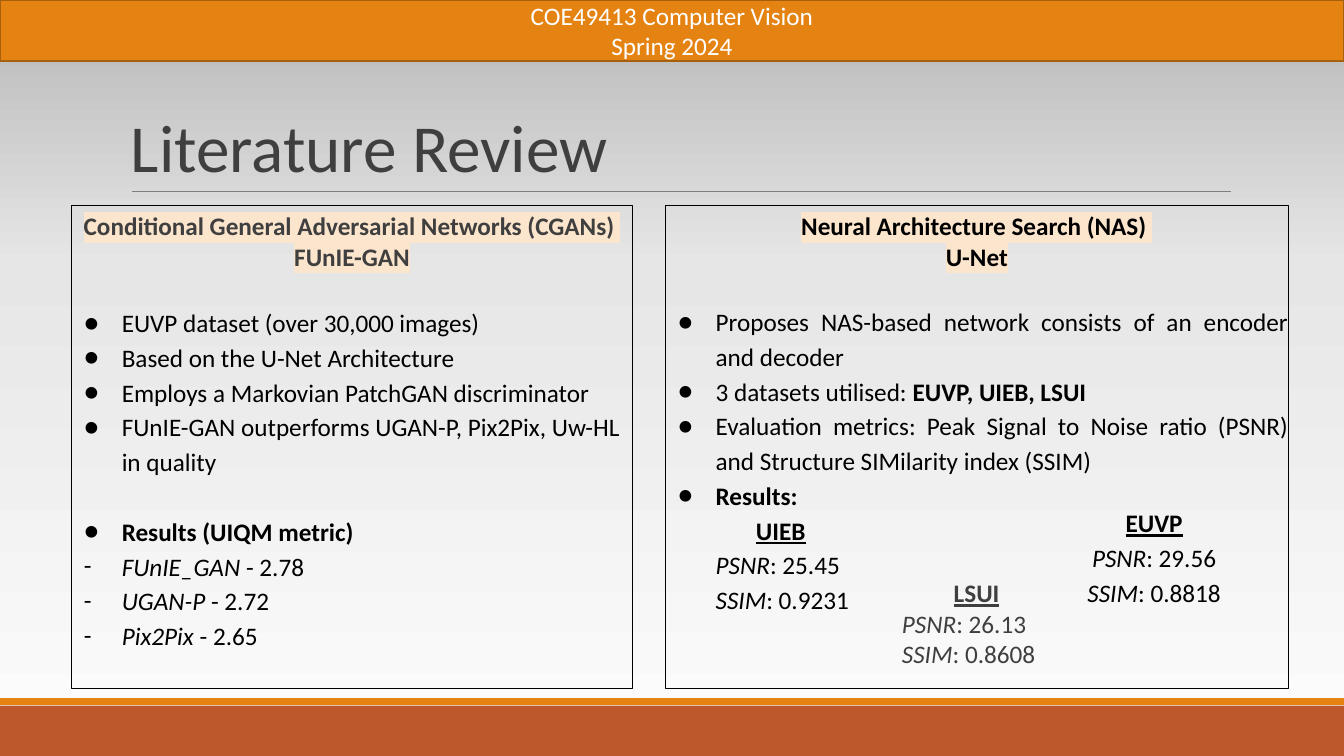
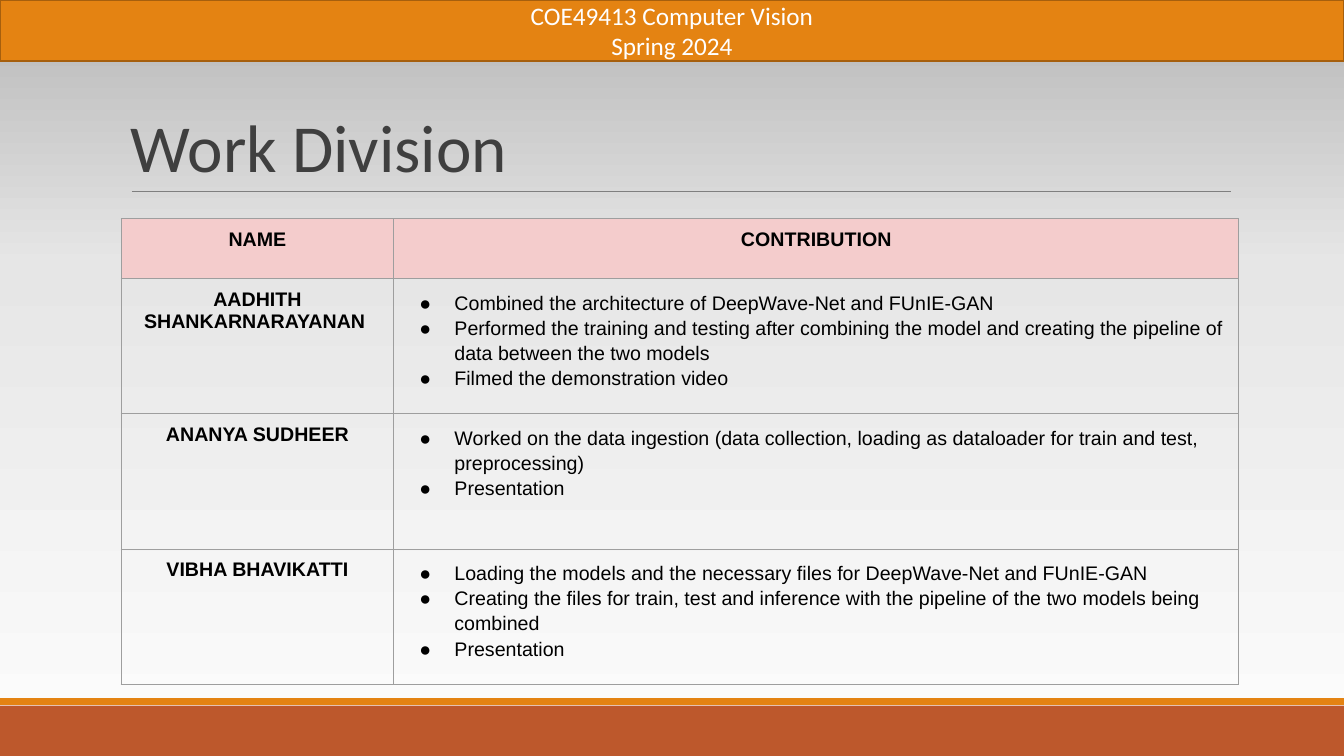
from lxml import etree
from copy import deepcopy
from pptx import Presentation
from pptx.dml.color import RGBColor
from pptx.enum.shapes import MSO_CONNECTOR, MSO_SHAPE
from pptx.enum.text import MSO_ANCHOR, PP_ALIGN
from pptx.oxml.ns import qn
from pptx.util import Pt

# Colours
BLACK = RGBColor(0x00, 0x00, 0x00)
WHITE = RGBColor(0xFF, 0xFF, 0xFF)
DARK_GRAY = RGBColor(0x3F, 0x3F, 0x3F)
RULE_GRAY = RGBColor(0x7F, 0x7F, 0x7F)
BORDER_GRAY = RGBColor(0x9E, 0x9E, 0x9E)
ORANGE = RGBColor(0xE4, 0x83, 0x12)
DARK_ORANGE = RGBColor(0xA6, 0x5F, 0x0D)
RUST = RGBColor(0xBD, 0x58, 0x2C)
PINK = RGBColor(0xF4, 0xCC, 0xCC)
CREAM = RGBColor(0xFC, 0xE5, 0xCD)
BACKGROUND_STOPS = [
    (0, RGBColor(0xFD, 0xFD, 0xFD)),
    (0.65, RGBColor(0xE6, 0xE6, 0xE6)),
    (1, RGBColor(0xB6, 0xB6, 0xB6)),
]

# Font formats
BODY = {"name": "Calibri", "size": Pt(18), "color": BLACK}
GRAY_BODY = {**BODY, "color": DARK_GRAY}
BAND = {**BODY, "color": WHITE}
TITLE = {**GRAY_BODY, "size": Pt(48)}
TABLE = {"name": "Arial", "size": Pt(14), "color": BLACK}
FLAGS = {"b": "bold", "i": "italic", "u": "underline"}

# Paragraph formats
PLAIN = {}
CENTER = {"alignment": PP_ALIGN.CENTER}
LOOSE_CENTER = {**CENTER, "line_spacing": 1.15}
TITLE_LINE = {"line_spacing": 0.85}
ITEM = {"line_spacing": 1.15, "margin": 36, "indent": -27, "bullet": "●"}
JUSTIFIED = {**ITEM, "alignment": PP_ALIGN.JUSTIFY}
DASH = {**ITEM, "bullet": "-"}
INDENTED = {"line_spacing": 1.15, "margin": 36}
TABLE_ITEM = {**ITEM, "indent": -25}
AFTER_HEADING = {"space_before": Pt(22)}
AFTER_LIST = {"space_before": Pt(25)}


def write_text(frame, font_format, lines, margins=(7.2, 7.2), anchor=MSO_ANCHOR.TOP):
    """Write lines of (paragraph format, (text, flags), ...); flags: b, i, u, h for highlight."""
    frame.word_wrap = True
    frame.vertical_anchor = anchor
    frame.margin_left = frame.margin_right = Pt(margins[0])
    frame.margin_top = frame.margin_bottom = Pt(margins[1])
    for number, (paragraph_format, *runs) in enumerate(lines):
        paragraph = frame.add_paragraph() if number else frame.paragraphs[0]
        properties = paragraph._p.get_or_add_pPr()
        for key, value in paragraph_format.items():
            if key == "bullet":
                color = etree.SubElement(properties, qn("a:buClr"))
                etree.SubElement(color, qn("a:srgbClr"), val=str(BLACK))
                etree.SubElement(properties, qn("a:buFont"), typeface=font_format["name"])
                etree.SubElement(properties, qn("a:buChar"), char=value)
            elif key in ("margin", "indent"):
                properties.set("marL" if key == "margin" else "indent", str(int(Pt(value))))
            else:
                setattr(paragraph, key, value)
        for text, flags in runs:
            run = paragraph.add_run()
            run.text = text
            for key, value in font_format.items():
                if key == "color":
                    run.font.color.rgb = value
                else:
                    setattr(run.font, key, value)
            for flag, attribute in FLAGS.items():
                setattr(run.font, attribute, flag in flags)
            if "h" in flags:
                highlight = etree.Element(qn("a:highlight"))
                etree.SubElement(highlight, qn("a:srgbClr"), val=str(CREAM))
                run._r.rPr.find(qn("a:solidFill")).addnext(highlight)


def add_box(slide, place, fill=None, line=None, width=0.75):
    shape = slide.shapes.add_shape(MSO_SHAPE.RECTANGLE, *map(Pt, place))
    shape.shadow.inherit = False
    for target, color in ((shape.fill, fill), (shape.line.fill, line)):
        if color is None:
            target.background()
        else:
            target.solid()
            target.fore_color.rgb = color
    if line is not None:
        shape.line.width = Pt(width)
    return shape


presentation = Presentation()
presentation.slide_width = Pt(960)
presentation.slide_height = Pt(540)

# Shared background, bands, rule and title
slides = []
for title in ("Literature Review", "Work Division"):
    slide = presentation.slides.add_slide(presentation.slide_layouts[6])
    slides.append(slide)

    fill = slide.background.fill
    fill.gradient()
    fill.gradient_angle = 90
    stop_list = slide.element.find(".//" + qn("a:gsLst"))
    stop_list.append(deepcopy(stop_list[-1]))
    for stop, (position, color) in zip(fill.gradient_stops, BACKGROUND_STOPS):
        stop.position = position
        stop.color.rgb = color

    add_box(slide, (0, 504, 960, 36), RUST)
    add_box(slide, (0, 498.7, 960, 4.8), ORANGE)
    rule = slide.shapes.add_connector(
        MSO_CONNECTOR.STRAIGHT, Pt(94.3), Pt(136.8), Pt(879.1), Pt(136.8))
    rule.line.color.rgb = RULE_GRAY
    rule.line.width = Pt(0.75)
    etree.SubElement(rule._element.spPr, qn("a:effectLst"))

    band = add_box(slide, (0, 0, 960, 43.4), ORANGE, DARK_ORANGE, 1.25)
    write_text(band.text_frame, BAND, [
        (CENTER, ("COE49413 Computer Vision", "")),
        (CENTER, ("Spring 2024", "")),
    ], (7.2, 3.6), MSO_ANCHOR.MIDDLE)

    title_box = slide.shapes.add_textbox(Pt(86.4), Pt(22.3), Pt(792), Pt(114.5))
    write_text(title_box.text_frame, TITLE, [(TITLE_LINE, (title, ""))],
               (7.2, 3.6), MSO_ANCHOR.BOTTOM)

review_slide, work_slide = slides

# Literature review: two framed columns
gan_box = add_box(review_slide, (51, 146.9, 401, 344.9), line=BLACK)
write_text(gan_box.text_frame, GRAY_BODY, [
    (CENTER, ("Conditional General Adversarial Networks (CGANs) ", "bh")),
    (CENTER, ("FUnIE-GAN", "bh")),
], (0, 3.6))
nas_box = add_box(review_slide, (475.2, 146.9, 445, 344.9), line=BLACK)
write_text(nas_box.text_frame, BODY, [
    (CENTER, ("Neural Architecture Search (NAS) ", "bh")),
    (CENTER, ("U-Net", "bh")),
    ({**JUSTIFIED, **AFTER_HEADING},
     ("Proposes NAS-based network consists of an encoder and decoder", "")),
    (JUSTIFIED, ("3 datasets utilised: ", ""), ("EUVP, UIEB, LSUI", "b")),
    (JUSTIFIED, ("Evaluation metrics: Peak Signal to Noise ratio (PSNR) "
                 "and Structure SIMilarity index (SSIM)", "")),
    (JUSTIFIED, ("Results:", "b")),
    ({**INDENTED, "margin": 64.8}, ("UIEB", "bu")),
    (INDENTED, ("PSNR", "i"), (": 25.45", "")),
    (INDENTED, ("SSIM", "i"), (": 0.9231", "")),
], (0, 3.6))

# The list below the gray heading is black
list_box = review_slide.shapes.add_textbox(Pt(51), Pt(194.4), Pt(401), Pt(297.4))
write_text(list_box.text_frame, BODY, [
    (ITEM, ("EUVP dataset (over 30,000 images)", "")),
    (ITEM, ("Based on the U-Net Architecture", "")),
    (ITEM, ("Employs a Markovian PatchGAN discriminator", "")),
    (ITEM, ("FUnIE-GAN outperforms UGAN-P, Pix2Pix, Uw-HL in quality", "")),
    ({**ITEM, **AFTER_LIST}, ("Results (UIQM metric)", "b")),
    (DASH, ("FUnIE_GAN ", "i"), ("- 2.78", "")),
    (DASH, ("UGAN-P ", "i"), ("- 2.72", "")),
    (DASH, ("Pix2Pix", "i"), (" - 2.65", "")),
], (0, 22))

# Scores of the other two datasets
for place, font_format, line_format, name_format, name, psnr, ssim in (
    ((756, 352.1, 136.8, 77), BODY, LOOSE_CENTER, LOOSE_CENTER, "EUVP", "29.56", "0.8818"),
    ((637.2, 405.4, 132.5, 69.8), GRAY_BODY, PLAIN, {"margin": 37}, "LSUI", "26.13", "0.8608"),
):
    score_box = review_slide.shapes.add_textbox(*map(Pt, place))
    write_text(score_box.text_frame, font_format, [
        (name_format, (name, "bu")),
        (line_format, ("PSNR", "i"), (f": {psnr}", "")),
        (line_format, ("SSIM", "i"), (f": {ssim}", "")),
    ])

# Work division: table of names and contributions
members = [
    ("AADHITH SHANKARNARAYANAN ", [
        "Combined the architecture of DeepWave-Net and FUnIE-GAN",
        "Performed the training and testing after combining the model and creating "
        "the pipeline of data between the two models",
        "Filmed the demonstration video",
    ]),
    ("ANANYA SUDHEER", [
        "Worked on the data ingestion (data collection, loading as dataloader for "
        "train and test, preprocessing)",
        "Presentation",
    ]),
    ("VIBHA BHAVIKATTI", [
        "Loading the models and the necessary files for DeepWave-Net and FUnIE-GAN",
        "Creating the files for train, test and inference with the pipeline of the "
        "two models being combined",
        "Presentation",
    ]),
]
rows = [[[(CENTER, (heading, "b"))] for heading in ("NAME", "CONTRIBUTION")]]
for name, tasks in members:
    rows.append([[(CENTER, (name, "b"))], [(TABLE_ITEM, (task, "")) for task in tasks]])

column_widths = (195, 603.4)
row_heights = (43, 96.5, 96.5, 96.5)
table = work_slide.shapes.add_table(
    len(rows), len(column_widths), Pt(86.4), Pt(156.2),
    Pt(sum(column_widths)), Pt(sum(row_heights))).table
table.first_row = table.horz_banding = False
for column, width in zip(table.columns, column_widths):
    column.width = Pt(width)
for row_number, (row, height) in enumerate(zip(rows, row_heights)):
    table.rows[row_number].height = Pt(height)
    for column_number, lines in enumerate(row):
        cell = table.cell(row_number, column_number)
        write_text(cell.text_frame, TABLE, lines)
        cell.margin_left = cell.margin_right = Pt(7.2)
        cell.margin_top = cell.margin_bottom = Pt(7.2)
        cell.vertical_anchor = MSO_ANCHOR.TOP
        if row_number == 0:
            cell.fill.solid()
            cell.fill.fore_color.rgb = PINK
        else:
            cell.fill.background()
        for index, side in enumerate(("lnL", "lnR", "lnT", "lnB")):
            border = etree.Element(qn(f"a:{side}"), w=str(int(Pt(0.75))))
            border_fill = etree.SubElement(border, qn("a:solidFill"))
            etree.SubElement(border_fill, qn("a:srgbClr"), val=str(BORDER_GRAY))
            cell._tc.tcPr.insert(index, border)

presentation.save("out.pptx")
